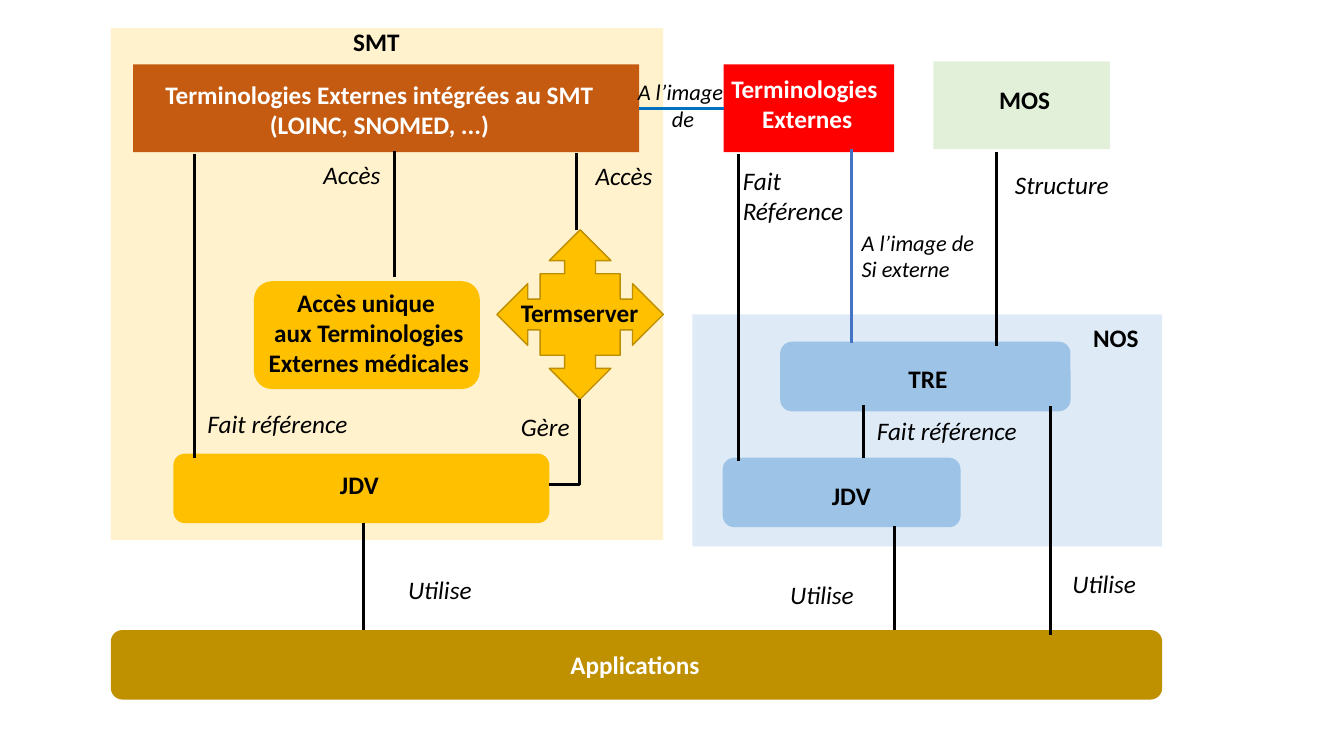
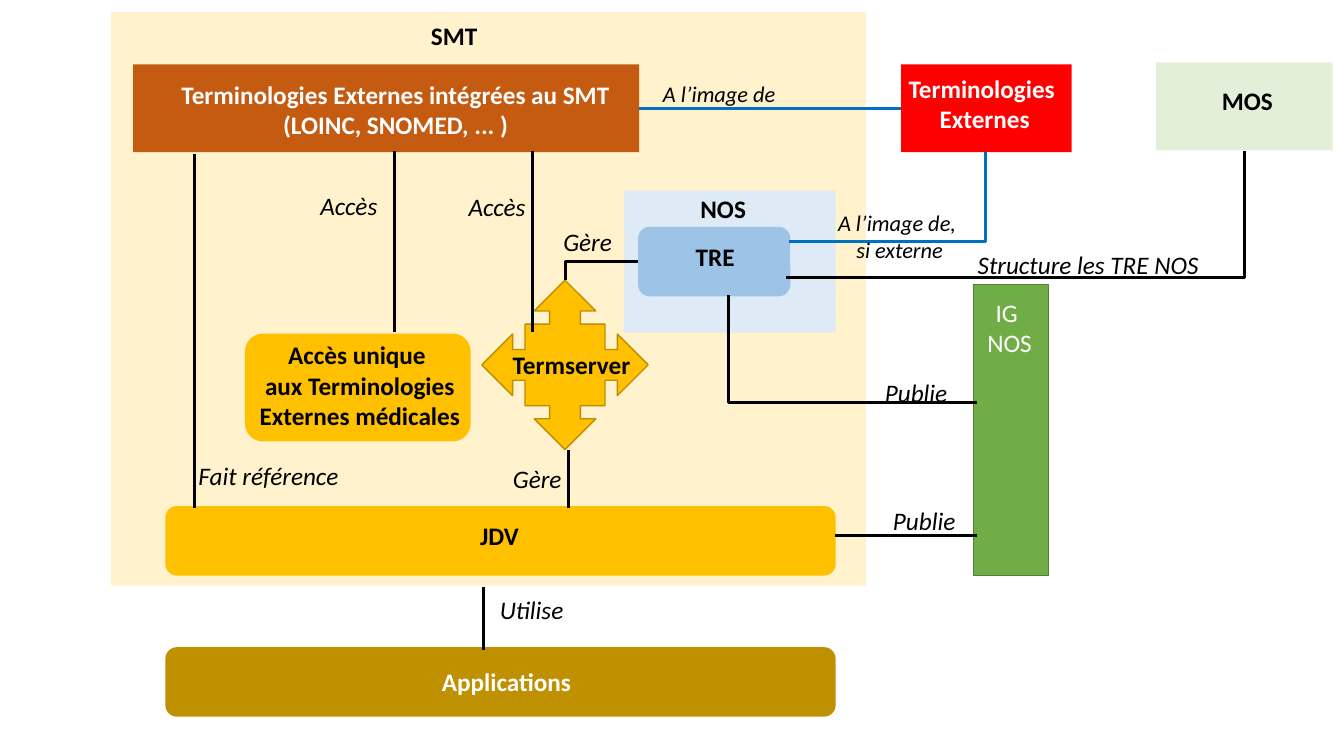
from lxml import etree
from pptx import Presentation
from pptx import util as u
from pptx.dml.color import RGBColor
from pptx.enum import shapes, text
from pptx.oxml.ns import qn

CELL = 0.1
COLUMNS, ROWS = 133.33, 75
FONT = "Calibri"

BLACK = RGBColor(0x00, 0x00, 0x00)
WHITE = RGBColor(0xFF, 0xFF, 0xFF)
CREAM = RGBColor(0xFF, 0xF2, 0xCC)
AMBER = RGBColor(0xFF, 0xC0, 0x00)
AMBER_EDGE = RGBColor(0xBD, 0x8E, 0x00)
OCHRE = RGBColor(0xBF, 0x90, 0x00)
RUST = RGBColor(0xC5, 0x5A, 0x11)
RED = RGBColor(0xFF, 0x00, 0x00)
MINT = RGBColor(0xE2, 0xF0, 0xD9)
GREEN = RGBColor(0x70, 0xAD, 0x47)
GREEN_EDGE = RGBColor(0x53, 0x80, 0x35)
PALE_BLUE = RGBColor(0xDE, 0xEB, 0xF7)
SKY = RGBColor(0x9D, 0xC3, 0xE6)
BLUE = RGBColor(0x00, 0x70, 0xC0)
INDIGO = RGBColor(0x44, 0x72, 0xC4)

RECT = shapes.MSO_SHAPE.RECTANGLE
ROUND = shapes.MSO_SHAPE.ROUNDED_RECTANGLE
CROSS = shapes.MSO_SHAPE.QUAD_ARROW_CALLOUT
LEFT, CENTER = text.PP_ALIGN.LEFT, text.PP_ALIGN.CENTER


def grid(*cells):
    return [u.Inches(cell * CELL) for cell in cells]


def block(page, kind, at, fill, edge=None):
    box = page.shapes.add_shape(kind, *grid(*at))
    box.shadow.inherit = False
    box.fill.solid()
    box.fill.fore_color.rgb = fill
    if edge is None:
        box.line.fill.background()
    else:
        box.line.color.rgb = edge
        box.line.width = u.Pt(1)


def label(page, at, lines, color=BLACK, size=18, bold=False, italic=False, align=CENTER):
    column, row, width = at
    height = 1 + len(lines) * size / 6
    box = page.shapes.add_textbox(*grid(column, row, width, height))
    frame = box.text_frame
    frame.word_wrap = False
    for index, line in enumerate(lines):
        para = frame.paragraphs[0] if index == 0 else frame.add_paragraph()
        para.text = line
        para.alignment = align
        para.font.name = FONT
        para.font.size = u.Pt(size)
        para.font.bold = bold
        para.font.italic = italic
        para.font.color.rgb = color


def title(page, at, *lines, color=BLACK):
    label(page, at, lines, color, bold=True)


def relation(page, at, *lines, size=18, align=LEFT):
    label(page, at, lines, size=size, italic=True, align=align)


def link(page, start, end, color=BLACK, kind=shapes.MSO_CONNECTOR.STRAIGHT):
    line = page.shapes.add_connector(kind, *grid(*start, *end))
    line.line.color.rgb = color
    line.line.width = u.Pt(2.25)
    etree.SubElement(line._element.spPr, qn("a:effectLst"))
    return line


def corner(page, start, end, color=BLACK):
    line = link(page, start, end, color, shapes.MSO_CONNECTOR.ELBOW)
    line._element.spPr.find(qn("a:prstGeom")).set("prst", "bentConnector2")


def integrated_terms(page, text_at, codes):
    block(page, RECT, (13.2, 6.4, 50.2, 8.7), RUST)
    title(page, text_at, "Terminologies Externes intégrées au SMT", codes, color=WHITE)


def external_terms(page, column):
    block(page, RECT, (column, 6.4, 16.9, 8.7), RED)
    title(page, (column - 0.6, 6.8, 17.2), "Terminologies", " Externes", color=WHITE)


def mos(page, column, row):
    block(page, RECT, (column, row, 17.5, 8.7), MINT)
    title(page, (column + 0.6, row + 1.8, 16.9), "MOS")


def single_access(page, column, row):
    block(page, ROUND, (column, row, 22.4, 10.7), AMBER)
    title(page, (column + 0.4, row + 0.1, 22),
          "Accès unique ", "aux Terminologies", "Externes médicales")


def server(page, column, row, text_at):
    block(page, CROSS, (column, row, 16.5, 16.8), AMBER, AMBER_EDGE)
    title(page, text_at, "Termserver")


def bar(page, column, row, width, fill, text_at, name, color=BLACK):
    block(page, ROUND, (column, row, width, 6.9), fill)
    title(page, text_at, name, color=color)


def current_state(page):
    block(page, RECT, (11, 2.8, 54.8, 50.8), CREAM)
    block(page, RECT, (68.7, 31.2, 46.6, 23), PALE_BLUE)
    title(page, (34, 2.1, 6.7), "SMT")
    title(page, (107.4, 31.5, 6.6), "NOS")
    integrated_terms(page, (11.8, 7.4, 51.7), "(LOINC, SNOMED, ...)")
    external_terms(page, 71.8)
    mos(page, 92.6, 6.1)
    single_access(page, 25.2, 27.9)
    server(page, 49.3, 22.8, (50.6, 29, 13.8))
    bar(page, 17.2, 45, 37.3, AMBER, (32.7, 46.1, 5.9), "JDV")
    bar(page, 77.4, 33.9, 28.8, SKY, (89.1, 35.6, 5.9), "TRE")
    bar(page, 71.7, 45.4, 23.6, SKY, (81.5, 47.2, 5.9), "JDV")
    bar(page, 11, 62.5, 104.3, OCHRE, (11, 63.9, 104), "Applications", WHITE)

    for column, top, bottom in (
        (19.3, 15.3, 45.4), (39.1, 15, 27.5), (57.2, 15.2, 22.8),
        (73.3, 15.3, 45.7), (98.9, 15.1, 34.3), (85.7, 40.2, 45.4),
        (36.1, 51.9, 62.5), (88.7, 52.2, 62.5), (104.2, 40.3, 63),
    ):
        link(page, (column, top), (column, bottom))
    link(page, (71.8, 10.8), (63.4, 10.8), BLUE)
    link(page, (84.5, 34), (84.5, 14.8), INDIGO)
    corner(page, (54.5, 48.1), (57.5, 39.6))

    for at, name in (
        ((31.1, 15.3, 7.7), "Accès"), ((58.1, 15.4, 7.7), "Accès"),
        ((99.7, 16.3, 11.4), "Structure"), ((50.7, 40.3, 6.9), "Gère"),
        ((19.6, 40, 16.1), "Fait référence"), ((86, 40.7, 16.1), "Fait référence"),
        ((39.5, 56.5, 8.4), "Utilise"), ((77.4, 57, 8.4), "Utilise"),
        ((105.4, 55.9, 8.4), "Utilise"),
    ):
        relation(page, at, name)
    relation(page, (72.7, 15.9, 12.1), "Fait", "Référence")
    relation(page, (84.5, 22.2, 13.3), "A l’image de", "Si externe", size=16)
    relation(page, (62.2, 7.3, 11.1), "A l’image ", "de", size=16, align=CENTER)


def target_state(page):
    block(page, RECT, (11, 1.2, 74.9, 56.9), CREAM)
    block(page, RECT, (61.9, 18.9, 21, 14.1), PALE_BLUE)
    title(page, (41.7, 1.5, 6.7), "SMT")
    title(page, (61.6, 18.7, 20.3), "NOS")
    integrated_terms(page, (15, 7.4, 48.5), "(LOINC, SNOMED, ... )")
    external_terms(page, 89.4)
    mos(page, 114.7, 6.2)
    single_access(page, 24.3, 33.1)
    server(page, 47.8, 27.8, (49.8, 34.2, 13.8))
    bar(page, 16.4, 50.2, 66.5, AMBER, (46.6, 51.1, 5.9), "JDV")
    bar(page, 63.3, 22.5, 15.1, SKY, (63.6, 23.4, 14.7), "TRE")
    bar(page, 16.4, 64.2, 66.5, OCHRE, (17.7, 65.6, 65.1), "Applications", WHITE)
    block(page, RECT, (96.6, 28.2, 7.4, 28.9), GREEN, GREEN_EDGE)
    label(page, (96.9, 29, 6.5), ("IG ", "NOS"), WHITE)

    for column, top, bottom in (
        (19.3, 15.3, 50.4), (39.1, 15, 32.9), (52.8, 15, 32.9),
        (56.4, 44.6, 50.4), (48, 58.2, 64.5),
    ):
        link(page, (column, top), (column, bottom))
    link(page, (82.8, 53.1), (96.9, 53.1))
    link(page, (89.4, 10.8), (63.4, 10.8), BLUE)
    corner(page, (63.3, 25.9), (56.1, 27.8))
    corner(page, (78.3, 24), (97.8, 15.1), BLUE)
    corner(page, (78, 27.5), (123.5, 15))
    corner(page, (96.9, 39.9), (72.3, 29.3))

    for at, name in (
        ((30.8, 18.4, 7.7), "Accès"), ((45.5, 18.5, 7.7), "Accès"),
        ((54.9, 22, 6.9), "Gère"), ((49.9, 45.5, 6.9), "Gère"),
        ((86.8, 36.9, 8.3), "Publie"), ((87.6, 49.6, 8.3), "Publie"),
        ((18.7, 45.2, 16.1), "Fait référence"), ((48.6, 58.5, 8.4), "Utilise"),
        ((96, 24.2, 24.2), "Structure les TRE NOS"),
    ):
        relation(page, at, name)
    relation(page, (62.7, 7.5, 17.3), "A l’image de", size=16, align=CENTER)
    relation(page, (80.6, 20.3, 17.3), "A l’image de, ", "si externe", size=16, align=CENTER)


def main():
    deck = Presentation()
    deck.slide_width, deck.slide_height = grid(COLUMNS, ROWS)
    for draw in (current_state, target_state):
        draw(deck.slides.add_slide(deck.slide_layouts[6]))
    deck.save("out.pptx")


if __name__ == "__main__":
    main()
